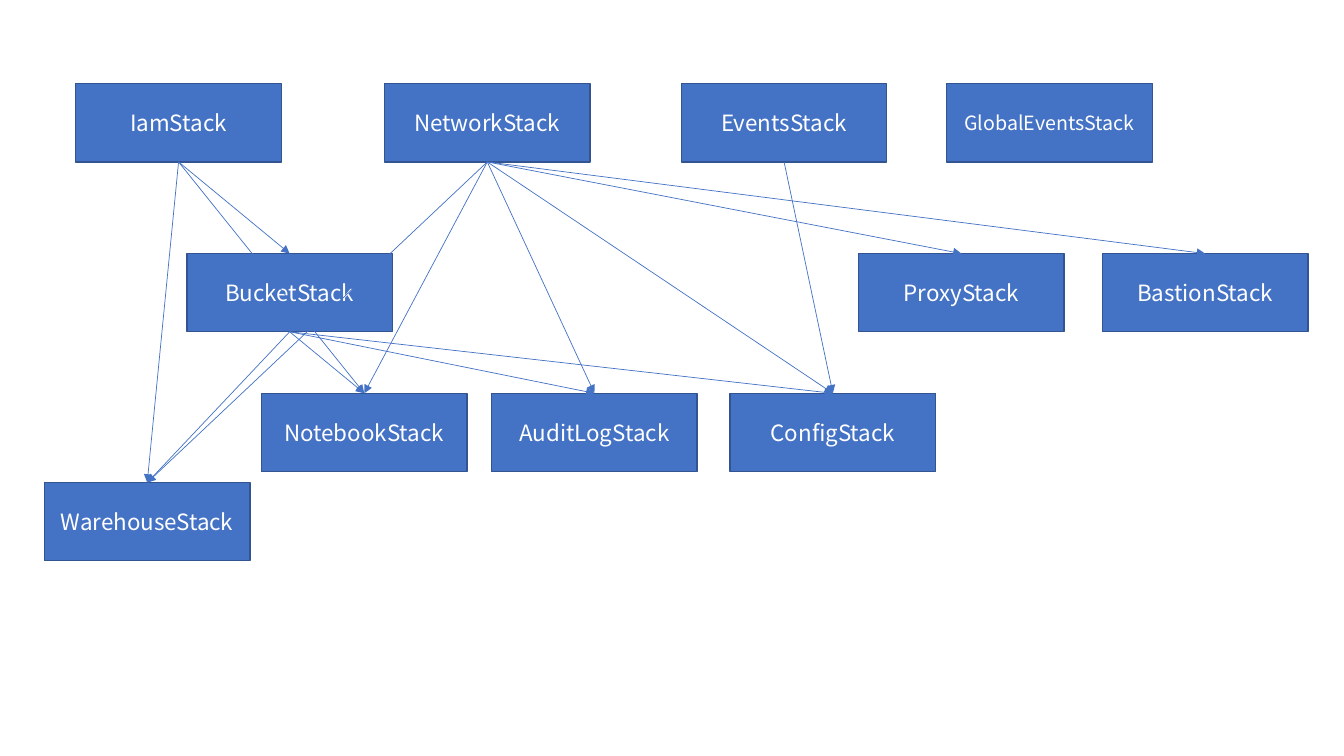
"""Build a slide showing the dependencies between infrastructure stacks."""
from lxml import etree
from pptx import Presentation
from pptx import util as u
from pptx.dml.color import RGBColor
from pptx.enum import shapes, text
from pptx.oxml.ns import qn

BLUE = RGBColor(0x44, 0x72, 0xC4)
DARK_BLUE = RGBColor(0x32, 0x54, 0x91)
WHITE = RGBColor(0xFF, 0xFF, 0xFF)
FONT = "Noto Sans CJK JP"

ROWS = [
    (2.11, [("IamStack", 1.91), ("NetworkStack", 9.69),
            ("EventsStack", 17.17), ("GlobalEventsStack", 23.86)]),
    (6.39, [("BucketStack", 4.71), ("ProxyStack", 21.64), ("BastionStack", 27.78)]),
    (9.91, [("NotebookStack", 6.59), ("AuditLogStack", 12.39), ("ConfigStack", 18.4)]),
    (12.16, [("WarehouseStack", 1.12)]),
]
DEPENDENTS = {
    "IamStack": ["BucketStack", "WarehouseStack", "NotebookStack"],
    "NetworkStack": ["NotebookStack", "ConfigStack", "ProxyStack",
                     "BastionStack", "WarehouseStack", "AuditLogStack"],
    "EventsStack": ["ConfigStack"],
    "BucketStack": ["AuditLogStack", "ConfigStack", "WarehouseStack", "NotebookStack"],
}
FONT_SIZES = {"GlobalEventsStack": 14}
DEFAULT_SIZE = 16
BOX_WIDTH, BOX_HEIGHT = u.Cm(5.18), u.Cm(1.97)


def add_stack(page, name, left, top):
    box = page.shapes.add_shape(shapes.MSO_SHAPE.RECTANGLE, u.Cm(left), u.Cm(top),
                                BOX_WIDTH, BOX_HEIGHT)
    box.shadow.inherit = False
    box.fill.solid()
    box.fill.fore_color.rgb = BLUE
    box.line.color.rgb = DARK_BLUE
    box.line.width = u.Pt(1)
    frame = box.text_frame
    frame.word_wrap = True
    frame.vertical_anchor = text.MSO_ANCHOR.MIDDLE
    para = frame.paragraphs[0]
    para.alignment = text.PP_ALIGN.CENTER
    span = para.add_run()
    span.text = name
    span.font.name = FONT
    span.font.size = u.Pt(FONT_SIZES.get(name, DEFAULT_SIZE))
    span.font.color.rgb = WHITE
    return box


def add_arrow(page, source, target):
    arrow = page.shapes.add_connector(
        shapes.MSO_CONNECTOR.STRAIGHT,
        source.left + source.width // 2, source.top + source.height,
        target.left + target.width // 2, target.top)
    arrow.line.color.rgb = BLUE
    arrow.line.width = u.Pt(0.5)
    line = arrow._element.spPr.find(qn("a:ln"))
    etree.SubElement(line, qn("a:tailEnd"), type="triangle")
    etree.SubElement(arrow._element.spPr, qn("a:effectLst"))


deck = Presentation()
deck.slide_width, deck.slide_height = u.Cm(33.87), u.Cm(19.05)
page = deck.slides.add_slide(deck.slide_layouts[6])

stacks = {name: add_stack(page, name, left, top)
          for top, row in ROWS for name, left in row}
for source, targets in DEPENDENTS.items():
    for target in targets:
        add_arrow(page, stacks[source], stacks[target])

deck.save("out.pptx")
